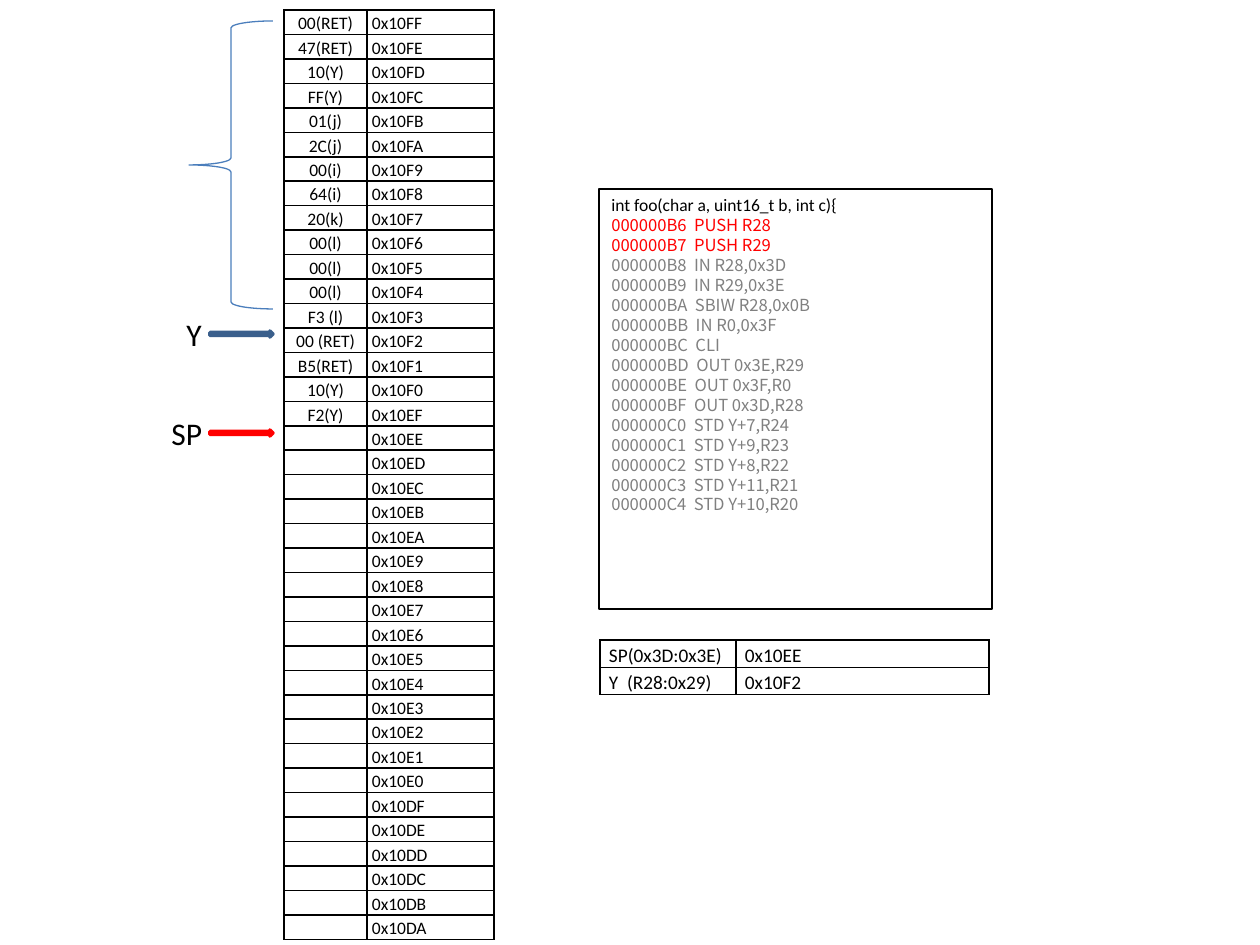
import pptx
import pptx.util
import pptx.dml.color
import pptx.enum.shapes
import pptx.enum.text
import pptx.oxml
import pptx.oxml.ns

SHAPE = pptx.enum.shapes.MSO_SHAPE
ALIGN = pptx.enum.text.PP_ALIGN
ANCHOR = pptx.enum.text.MSO_ANCHOR
FIT = pptx.enum.text.MSO_AUTO_SIZE

SCALE = 914400 / 126
SANS = "Calibri"
CODE = "Noto Sans CJK SC"
BLACK, WHITE, RED, GRAY = "000000", "FFFFFF", "FF0000", "808080"
BLUE, NAVY, STEEL = "4F81BD", "3A5F8C", "4B7EBC"


def px(size):
    return pptx.util.Emu(round(size * SCALE))


def color(code):
    return pptx.dml.color.RGBColor.from_string(code)


class Page:
    def __init__(self, deck):
        self.slide = deck.slides.add_slide(deck.slide_layouts[6])
        self.shapes = self.slide.shapes

    def style(self, para, size, tint=BLACK, face=SANS):
        para.font.size = pptx.util.Pt(size)
        para.font.name = face
        para.font.color.rgb = color(tint)

    def shape(self, kind, x, y, w, h, line, width, fill=None, home=None):
        item = (home or self.shapes).add_shape(kind, px(x), px(y), px(w), px(h))
        item.shadow.inherit = False
        if fill:
            item.fill.solid()
            item.fill.fore_color.rgb = color(fill)
        else:
            item.fill.background()
        item.line.color.rgb = color(line)
        item.line.width = pptx.util.Pt(width)
        return item

    def border(self, cell):
        props = cell._tc.get_or_add_tcPr()
        space = pptx.oxml.ns.nsdecls("a")
        for side in "LRTB":
            props.append(pptx.oxml.parse_xml(
                f'<a:ln{side} {space} w="12700"><a:solidFill>'
                f'<a:srgbClr val="{BLACK}"/></a:solidFill></a:ln{side}>'))

    def table(self, x, y, cols, high, rows, size, inset, first=ALIGN.LEFT):
        grid = self.shapes.add_table(
            len(rows), len(cols), px(x), px(y),
            px(sum(cols)), px(high * len(rows))).table
        grid.first_row = grid.horz_banding = False
        for col, width in zip(grid.columns, cols):
            col.width = px(width)
        for r, row in enumerate(rows):
            grid.rows[r].height = px(high)
            for c, text in enumerate(row):
                cell = grid.cell(r, c)
                self.border(cell)
                cell.fill.background()
                cell.margin_left = cell.margin_right = px(inset)
                cell.margin_top = cell.margin_bottom = 0
                para = cell.text_frame.paragraphs[0]
                para.alignment = ALIGN.LEFT if c else first
                para.line_spacing = 1.15
                self.style(para, size)
                if text:
                    para.text = text
                else:
                    # Keeps an empty row as low as the others
                    end = para._p.get_or_add_endParaRPr()
                    end.set("sz", str(size * 100))

    def code(self, x, y, w, h, head, lines):
        box = self.shape(SHAPE.RECTANGLE, x, y, w, h, BLACK, 0.75, WHITE)
        frame = box.text_frame
        frame.word_wrap = True
        frame.vertical_anchor = ANCHOR.TOP
        rows = [(head, 10, BLACK, SANS)]
        rows += [(text, 9.5, tint, CODE) for text, tint in lines]
        for i, (text, *look) in enumerate(rows):
            para = frame.add_paragraph() if i else frame.paragraphs[0]
            para.text = text
            para.alignment = ALIGN.LEFT
            para.line_spacing = pptx.util.Pt(11.4)
            self.style(para, *look)

    def pointer(self, text, x, y, w, line):
        group = self.shapes.add_group_shape().shapes
        self.shape(SHAPE.RIGHT_ARROW, 210, y, 63, 6, line, 2, BLUE, group)
        box = group.add_textbox(px(x), px(y - 22), px(w), px(50))
        frame = box.text_frame
        frame.word_wrap = False
        frame.auto_size = FIT.SHAPE_TO_FIT_TEXT
        frame.paragraphs[0].text = text
        self.style(frame.paragraphs[0], 18)


STACK = ["00(RET)", "47(RET)", "10(Y)", "FF(Y)", "01(j)", "2C(j)", "00(i)",
         "64(i)", "20(k)", "00(l)", "00(l)", "00(l)", "F3 (l)", "00 (RET)",
         "B5(RET)", "10(Y)", "F2(Y)"]
TOP, COUNT = 0x10FF, 38

STEPS = ["PUSH R28", "PUSH R29", "IN R28,0x3D", "IN R29,0x3E",
         "SBIW R28,0x0B", "IN R0,0x3F", "CLI", "OUT 0x3E,R29",
         "OUT 0x3F,R0", "OUT 0x3D,R28", "STD Y+7,R24", "STD Y+9,R23",
         "STD Y+8,R22", "STD Y+11,R21", "STD Y+10,R20"]
START, DONE = 0xB6, 2


def main():
    deck = pptx.Presentation()
    deck.slide_width, deck.slide_height = px(1260), px(945)
    page = Page(deck)

    # Stack memory, from the top address down
    values = STACK + [""] * (COUNT - len(STACK))
    cells = [(text, f"0x{TOP - i:04X}") for i, text in enumerate(values)]
    page.table(284, 10, [83, 127], 24, cells, 10, 5, ALIGN.CENTER)

    # Registers
    page.table(600, 640, [136, 253], 27,
               [("SP(0x3D:0x3E)", "0x10EE"), ("Y  (R28:0x29)", "0x10F2")],
               11, 9)

    # Program listing, with the current steps in red
    lines = [(f"{START + i:08X}  {step}", RED if i < DONE else GRAY)
             for i, step in enumerate(STEPS)]
    page.code(599, 189, 393, 420, "int foo(char a, uint16_t b, int c){", lines)

    # Pointers into the stack
    page.pointer("Y", 174, 331, 32, NAVY)
    page.pointer("SP", 159, 430, 57, RED)

    # Brace over the caller's frame
    page.shape(SHAPE.LEFT_BRACE, 189, 21, 84, 288, STEEL, 0.75)

    deck.save("out.pptx")


if __name__ == "__main__":
    main()
